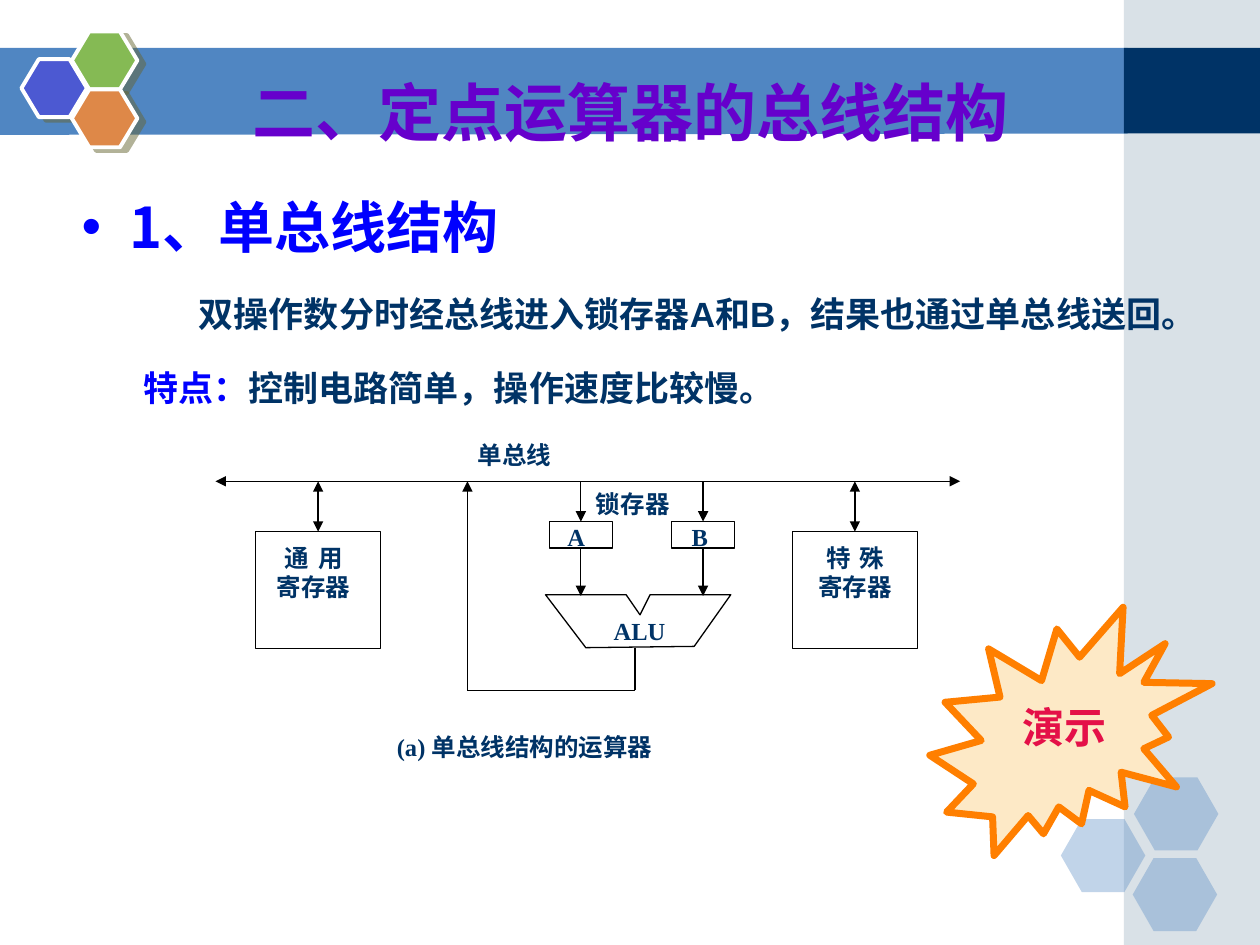
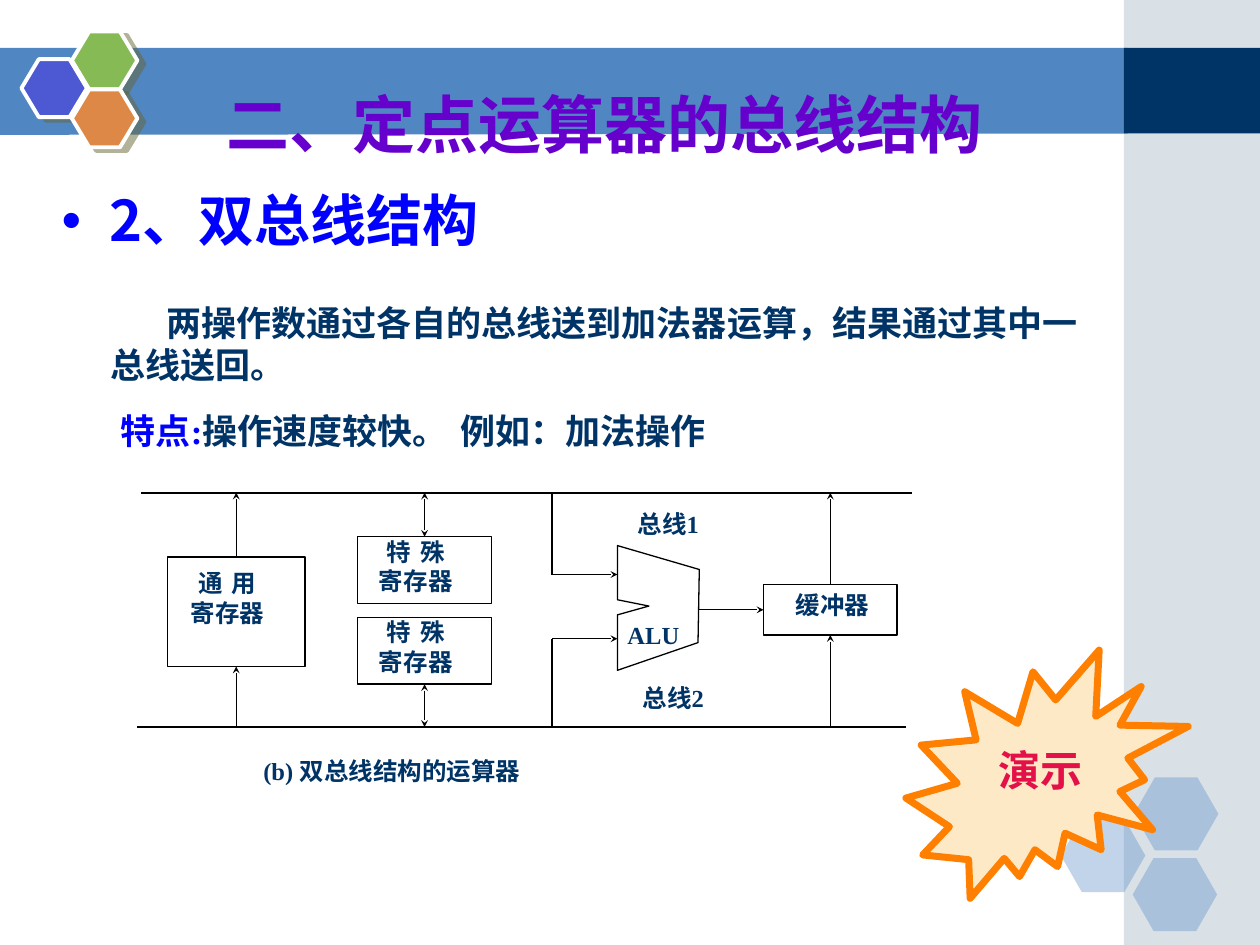
from lxml.etree import SubElement
from pptx import Presentation
from pptx.dml.color import RGBColor
from pptx.enum.shapes import MSO_CONNECTOR, MSO_SHAPE
from pptx.enum.text import MSO_ANCHOR, MSO_AUTO_SIZE, PP_ALIGN
from pptx.oxml.ns import qn
from pptx.util import Inches, Pt

NAVY = RGBColor(0x00, 0x33, 0x66)
STEEL = RGBColor(0x50, 0x86, 0xC2)
MIST = RGBColor(0xA0, 0xB5, 0xC4)
INDIGO = RGBColor(0x4C, 0x59, 0xD2)
GREEN = RGBColor(0x85, 0xBA, 0x54)
ORANGE = RGBColor(0xDE, 0x88, 0x48)
PURPLE = RGBColor(0x66, 0x00, 0xCC)
BLUE = RGBColor(0x00, 0x00, 0xFF)
CREAM = RGBColor(0xFD, 0xE9, 0xC6)
FLAME = RGBColor(0xFF, 0x7F, 0x00)
CRIMSON = RGBColor(0xE4, 0x10, 0x48)
BLACK = RGBColor(0, 0, 0)
WHITE = RGBColor(0xFF, 0xFF, 0xFF)

SANS, SERIF, HAN, FALLBACK = "Arial", "Times New Roman", "Noto Sans CJK SC", "DejaVu Sans"
WIDTH, HEIGHT = 10, 7.5
TOP, LEFT, BOTTOM = 0, 1, 2
TITLE = "二、定点运算器的总线结构"
DEMO = "演示"
REGISTER_INSETS = (0.04, 0.09, 0.04, 0.05)

BUS = 3.82
BUS_1, BUS_2 = 3.91, 5.77

# boxes: key -> (lines, place, insets)
# wires: (start, end, arrow at start, arrow at end, points);
#        an end is (x, y), (box key, side), or the y of a vertical wire
SLIDES = [
    {
        "title_at": (0.75, 0.52),
        "heading": ("1、单总线结构", (0.55, 1.48, 8.58, 0.8), 1.0),
        "body": ("双操作数分时经总线进入锁存器A和B，结果也通过单总线送回。",
                 (1.48, 2.27, 8.4, 0.44), 0),
        "feature": ("特点：", "控制电路简单，操作速度比较慢。", SANS, (1.04, 2.9, 7.33, 0.36)),
        "alu": [(5.51, 5.13), (4.65, 5.14), (4.33, 4.72), (4.97, 4.72),
                (5.08, 4.88), (5.16, 4.72), (5.8, 4.72)],
        "boxes": {
            "A": (["A"], (4.36, 4.14, 0.5, 0.21), (0, 0, 0.07, 0)),
            "B": (["B"], (5.33, 4.14, 0.5, 0.21), (0, 0, 0.05, 0)),
            "general": (["通 用", "寄存器"], (2.03, 4.22, 0.99, 0.93), (0.04, 0.09, 0.11, 0.05)),
            "special": (["特 殊", "寄存器"], (6.29, 4.22, 0.99, 0.93), REGISTER_INSETS),
        },
        "labels": [
            ("ALU", (4.87, 4.89, 0.59, 0.21)),
            ("单总线", (3.79, 3.49, 0.88, 0.21)),
            ("锁存器", (4.73, 3.88, 0.88, 0.21)),
            ("(a) 单总线结构的运算器", (3.15, 5.81, 3.23, 0.43)),
        ],
        "arrow": "triangle",
        "wires": [
            ((1.71, BUS), (7.62, BUS), True, True, 0.75),
            (("general", TOP), BUS, True, True, 0.75),
            (("special", TOP), BUS, True, True, 0.75),
            (BUS, ("A", TOP), False, True, 0.75),
            (BUS, ("B", TOP), False, True, 0.75),
            (("A", BOTTOM), 4.73, False, True, 0.75),
            (("B", BOTTOM), 4.73, False, True, 0.75),
            ((5.04, 5.14), (5.04, 5.48), False, False, 0.75),
            ((5.04, 5.48), (3.71, 5.48), False, False, 0.75),
            ((3.71, 5.48), (3.71, BUS), False, True, 0.75),
        ],
        "demo_at": (7.38, 4.82),
    },
    {
        "title_at": (0.55, 0.62),
        "heading": ("2、双总线结构", (0.39, 1.48, 9.34, 0.78), 0.9),
        "body": ("两操作数通过各自的总线送到加法器运算，结果通过其中一总线送回。",
                 (0.78, 2.34, 7.92, 0.77), 0.44),
        "feature": ("特点:", "操作速度较快。 例如：加法操作", SERIF, (0.86, 3.24, 7.33, 0.37)),
        "alu": [(5.55, 4.52), (5.54, 5.1), (4.9, 5.32), (4.9, 4.88),
                (5.15, 4.81), (4.9, 4.76), (4.9, 4.33)],
        "boxes": {
            "general": (["通 用", "寄存器"], (1.33, 4.42, 1.09, 0.87), (0.04, 0.09, 0.18, 0.05)),
            "upper": (["特 殊", "寄存器"], (2.84, 4.26, 1.06, 0.53), (0.04, 0, 0.18, 0)),
            "lower": (["特 殊", "寄存器"], (2.84, 4.9, 1.06, 0.53), (0.04, 0, 0.18, 0)),
            "buffer": (["缓冲器"], (6.06, 4.64, 1.06, 0.4), (0.08, 0.04, 0.04, 0.04)),
        },
        "labels": [
            ("ALU", (4.98, 4.92, 0.61, 0.2)),
            ("总线1", (5.06, 4.04, 0.97, 0.2)),
            ("总线2", (5.1, 5.42, 0.97, 0.2)),
            ("(b) 双总线结构的运算器", (2.09, 6, 3.54, 0.32)),
        ],
        "arrow": "stealth",
        "wires": [
            ((1.12, BUS_1), (7.24, BUS_1), False, False, 1),
            ((1.09, BUS_2), (7.19, BUS_2), False, False, 1),
            (("general", TOP), BUS_1, False, True, 0.75),
            (BUS_2, ("general", BOTTOM), False, True, 0.75),
            (BUS_1, ("upper", TOP), True, True, 0.75),
            (("lower", BOTTOM), BUS_2, True, True, 0.75),
            ((4.38, BUS_1), (4.38, 4.56), False, False, 0.75),
            ((4.38, 4.56), (4.9, 4.56), False, True, 0.75),
            ((4.38, BUS_2), (4.38, 5.07), False, False, 0.75),
            ((4.38, 5.07), (4.9, 5.07), False, True, 0.75),
            ((5.54, 4.84), ("buffer", LEFT), False, True, 0.75),
            (("buffer", TOP), BUS_1, False, True, 0.75),
            (BUS_2, ("buffer", BOTTOM), False, True, 0.75),
        ],
        "demo_at": (7.19, 5.16),
    },
]

CORNER_HEXAGONS = [(8.42, 6.5), (9, 6.17), (8.99, 6.81)]
EMBLEM_HEXAGONS = [(0.17, 0.47, INDIGO), (0.57, 0.25, GREEN), (0.57, 0.71, ORANGE)]


def inches(values):
    return [Inches(value) for value in values]


def write(shape, paragraphs, *, size=14, color=NAVY, font=SERIF, east_asian=FALLBACK,
          align=PP_ALIGN.LEFT, anchor=MSO_ANCHOR.TOP, insets=(0.1, 0.05, 0.1, 0.05),
          indent=0, hanging=0, bullet=None, line_spacing=None):
    """Fill a shape; a paragraph is a string or a list of (text, colour) runs."""
    frame = shape.text_frame
    frame.auto_size = MSO_AUTO_SIZE.NONE
    frame.word_wrap = True
    frame.vertical_anchor = anchor
    (frame.margin_left, frame.margin_top,
     frame.margin_right, frame.margin_bottom) = inches(insets)
    for number, runs in enumerate(paragraphs):
        paragraph = frame.add_paragraph() if number else frame.paragraphs[0]
        properties = paragraph._p.get_or_add_pPr()
        properties.set("marL", str(Inches(hanging)))
        properties.set("indent", str(Inches(indent - hanging)))
        if bullet:
            SubElement(properties, qn("a:buFont"), typeface=SANS)
            SubElement(properties, qn("a:buChar"), char=bullet)
        paragraph.alignment = align
        if line_spacing:
            paragraph.line_spacing = line_spacing
        for text, tint in [(runs, color)] if isinstance(runs, str) else runs:
            run = paragraph.add_run()
            run.text = text
            run.font.size, run.font.bold, run.font.name = Pt(size), True, font
            run.font.color.rgb = tint
            SubElement(run._r.rPr, qn("a:ea"), typeface=east_asian)


def add_text(slide, place, paragraphs, **style):
    write(slide.shapes.add_textbox(*inches(place)), paragraphs, **style)


def paint(shape, fill, line=None, points=0.75, opacity=None):
    shape.shadow.inherit = False
    shape.fill.solid()
    shape.fill.fore_color.rgb = fill
    if opacity:
        tint = shape._element.spPr.find(qn("a:solidFill"))[0]
        SubElement(tint, qn("a:alpha"), val=str(opacity * 1000))
    if line is None:
        shape.line.fill.background()
    else:
        shape.line.color.rgb = line
        shape.line.width = Pt(points)
    return shape


def add_preset(slide, preset, place, fill, **style):
    return paint(slide.shapes.add_shape(preset, *inches(place)), fill, **style)


def add_outline(slide, corners, fill, **style):
    (x, y), *rest = [inches(corner) for corner in corners]
    builder = slide.shapes.build_freeform(x, y)
    builder.add_line_segments(rest, close=True)
    return paint(builder.convert_to_shape(), fill, **style)


def add_hexagon(slide, place, fill, slant, **style):
    hexagon = add_preset(slide, MSO_SHAPE.HEXAGON, place, fill, **style)
    hexagon.adjustments[0] = slant
    return hexagon


def add_drop_shadow(shape):
    effects = shape._element.spPr.find(qn("a:effectLst"))
    shadow = SubElement(effects, qn("a:outerShdw"), dist=str(Pt(4.5)),
                        dir=str(27 * 60000), algn="ctr", rotWithShape="0")
    tint = SubElement(shadow, qn("a:srgbClr"), val="666633")
    SubElement(tint, qn("a:alpha"), val="50000")


def add_backdrop(slide):
    """Draw the shared bands and hexagons, then move them to the slide's layout."""
    layout = slide.slide_layout
    for placeholder in list(layout.placeholders)[1:]:
        layout.shapes._spTree.remove(placeholder._element)
    band_top, band_bottom, column = 0.38, 1.06, 8.92
    band = band_bottom - band_top
    parts = [
        add_outline(slide, [(-0.01, band_top), (8.95, band_top),
                            (8.95, band_bottom), (-0.01, 1.07)], STEEL),
        add_preset(slide, MSO_SHAPE.RECTANGLE, (column, 0, WIDTH - column, HEIGHT),
                   MIST, opacity=40),
        add_preset(slide, MSO_SHAPE.RECTANGLE, (column, band_top, WIDTH - column, band), NAVY),
    ]
    for x, y in CORNER_HEXAGONS:
        parts.append(add_hexagon(slide, (x, y, 0.67, 0.58), STEEL, 0.286, opacity=35))
    for x, y, fill in EMBLEM_HEXAGONS:
        hexagon = add_hexagon(slide, (x, y, 0.52, 0.46), fill, 0.3, line=WHITE, points=2.25)
        add_drop_shadow(hexagon)
        parts.append(hexagon)
    for part in parts:
        layout.shapes._spTree.append(part._element)


def side_point(box, side):
    x, y, width, height = box.left, box.top, box.width, box.height
    return [(x + width // 2, y), (x, y + height // 2), (x + width // 2, y + height)][side]


def add_wire(slide, boxes, start, end, head, tail, points, arrow):
    ends = [start, end]
    joined = [isinstance(at, tuple) and at[0] in boxes for at in ends]
    spots = [side_point(boxes[at[0]], at[1]) if join
             else inches(at) if isinstance(at, tuple) else None
             for at, join in zip(ends, joined)]
    for this, other in ((0, 1), (1, 0)):
        if spots[this] is None:
            spots[this] = (spots[other][0], Inches(ends[this]))
    wire = slide.shapes.add_connector(MSO_CONNECTOR.STRAIGHT, *spots[0], *spots[1])
    for at, join, connect in zip(ends, joined, (wire.begin_connect, wire.end_connect)):
        if join:
            connect(boxes[at[0]], at[1])
    wire.line.color.rgb = BLACK
    wire.line.width = Pt(points)
    stroke = wire.line._get_or_add_ln()
    for tag, wanted in (("a:headEnd", head), ("a:tailEnd", tail)):
        if wanted:
            size = "med" if arrow == "triangle" else "sm"
            SubElement(stroke, qn(tag), type=arrow, w=size, len=size)
    SubElement(wire._element.spPr, qn("a:effectLst"))


def add_diagram(slide, content):
    add_outline(slide, content["alu"], WHITE, line=BLACK)
    boxes = {}
    for key, (lines, place, insets) in content["boxes"].items():
        boxes[key] = add_preset(slide, MSO_SHAPE.RECTANGLE, place, WHITE, line=BLACK)
        write(boxes[key], lines, align=PP_ALIGN.CENTER, insets=insets)
    for text, place in content["labels"]:
        add_text(slide, place, [text], insets=(0, 0, 0, 0))
    for wire in content["wires"]:
        add_wire(slide, boxes, *wire, content["arrow"])


def add_demo(slide, x, y):
    add_preset(slide, MSO_SHAPE.EXPLOSION2, (x, y, 2.24, 1.97), CREAM, line=FLAME, points=4)
    add_text(slide, (x + 0.08, y + 0.7, 1.97, 0.5), [DEMO], size=24, color=CRIMSON,
             font=FALLBACK, align=PP_ALIGN.CENTER)


def fill_slide(slide, content):
    title = slide.shapes.title
    title.left, title.top, title.width, title.height = inches((*content["title_at"], 8.5, 0.72))
    write(title, [TITLE], size=36, color=PURPLE, font=HAN, east_asian=HAN,
          align=PP_ALIGN.CENTER, anchor=MSO_ANCHOR.MIDDLE)
    heading, place, spacing = content["heading"]
    add_text(slide, place, [heading], size=32, color=BLUE, font=HAN, east_asian=HAN,
             hanging=0.38, bullet="•", line_spacing=spacing)
    body, place, indent = content["body"]
    add_text(slide, place, [body], size=20, font=SANS, indent=indent)
    lead, detail, font, place = content["feature"]
    add_text(slide, place, [[(lead, BLUE), (detail, NAVY)]], size=20, font=font,
             insets=(0.1, 0.01, 0.1, 0.01))
    add_diagram(slide, content)
    add_demo(slide, *content["demo_at"])


def main():
    deck = Presentation()
    deck.slide_width, deck.slide_height = inches((WIDTH, HEIGHT))
    title_only = deck.slide_layouts[5]
    slides = [deck.slides.add_slide(title_only) for _ in SLIDES]
    add_backdrop(slides[0])
    for slide, content in zip(slides, SLIDES):
        fill_slide(slide, content)
    deck.save("out.pptx")


if __name__ == "__main__":
    main()
